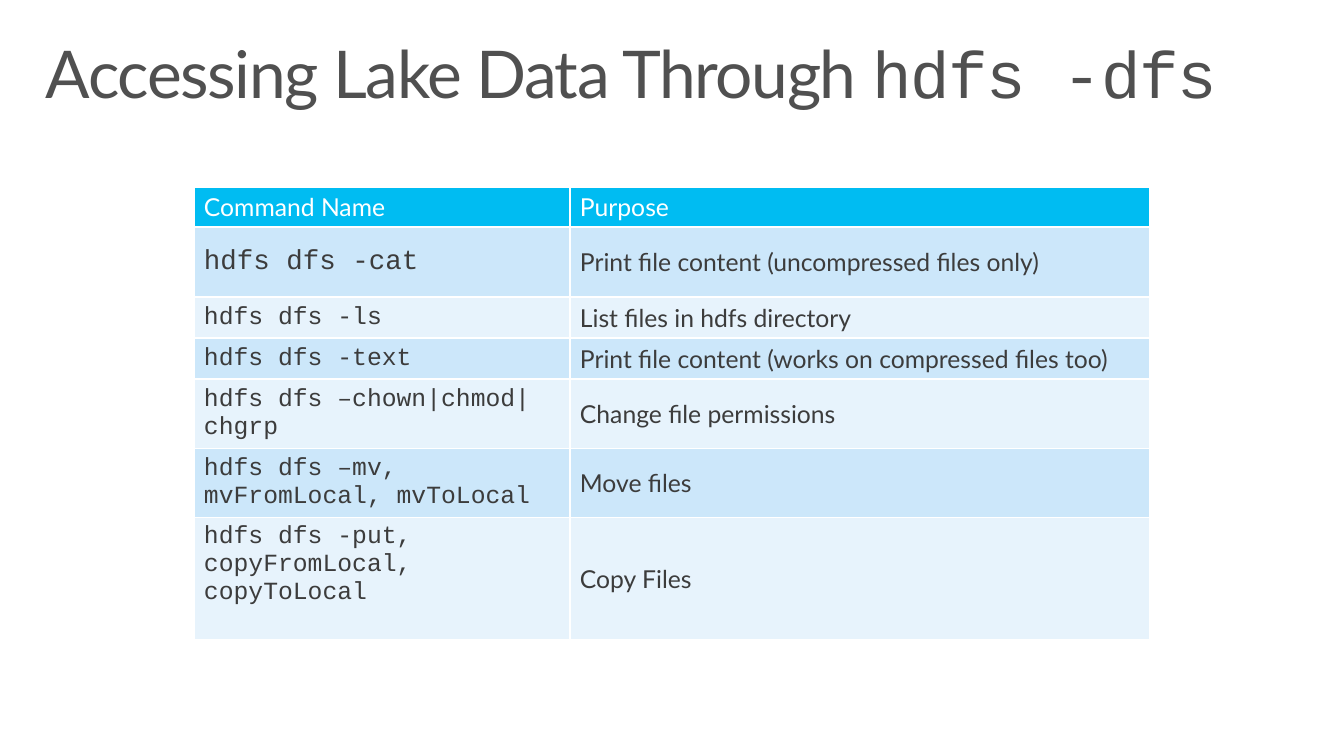
import pptx
import pptx.util
import pptx.dml.color
import pptx.enum.text
import lxml.etree

PX = 9255
MIDDLE = pptx.enum.text.MSO_ANCHOR.MIDDLE
TOP = pptx.enum.text.MSO_ANCHOR.TOP
SANS, MONO = "Lato", "Courier New"


def rgb(value):
    return pptx.dml.color.RGBColor.from_string(value)


def add_run(p, text, font, size, color):
    r = p.add_run()
    r.text = text
    r.font.name = font
    r.font.size = pptx.util.Pt(size)
    r.font.color.rgb = rgb(color)
    return r


prs = pptx.Presentation()
prs.slide_width = 1344 * PX
prs.slide_height = 756 * PX
s = prs.slides.add_slide(prs.slide_layouts[6])

title = s.shapes.add_textbox(30 * PX, 32 * PX, 1284 * PX, 99 * PX)
tf = title.text_frame
tf.word_wrap = True
tf.vertical_anchor = TOP
tf.margin_left = tf.margin_right = 16 * PX
tf.margin_top = tf.margin_bottom = 10 * PX
p = tf.paragraphs[0]
p.line_spacing = 0.9
for text, font in [("Accessing Lake Data Through ", SANS), ("hdfs -dfs", MONO)]:
    r = add_run(p, text, font, 48, "505050")
    r.font._element.set("spc", "-100")

rows = [
    (40, "Command Name", "Purpose"),
    (70, "hdfs dfs -cat", "Print file content (uncompressed files only)"),
    (41, "hdfs dfs -ls", "List files in hdfs directory"),
    (41, "hdfs dfs -text", "Print file content (works on compressed files too)"),
    (66, "hdfs dfs –chown|chmod|chgrp", "Change file permissions"),
    (66, "hdfs dfs –mv, mvFromLocal, mvToLocal", "Move files"),
    (122, "hdfs dfs -put, copyFromLocal, copyToLocal", "Copy Files"),
]
widths = [376, 580]
height = sum(row[0] for row in rows)
table = s.shapes.add_table(
    len(rows), 2, 194 * PX, 187 * PX, sum(widths) * PX, height * PX
).table
for column, width in zip(table.columns, widths):
    column.width = width * PX

for i, (row_height, *texts) in enumerate(rows):
    table.rows[i].height = row_height * PX
    for j, text in enumerate(texts):
        cell = table.cell(i, j)
        header = i == 0
        command = j == 0 and not header
        at_top = header or (command and i == len(rows) - 1)
        cell.vertical_anchor = TOP if at_top else MIDDLE
        cell.margin_left = cell.margin_right = 10 * PX
        cell.margin_top = cell.margin_bottom = 5 * PX
        r = add_run(
            cell.text_frame.paragraphs[0],
            text,
            MONO if command else SANS,
            20 if command and i == 1 else 18,
            "FFFFFF" if header else "3C3C3C",
        )
        r.font.bold = False

        tcPr = cell._tc.get_or_add_tcPr()
        for side in ("lnL", "lnR", "lnT", "lnB"):
            ln = lxml.etree.SubElement(tcPr, pptx.oxml.ns.qn("a:" + side), w="12700")
            fill = lxml.etree.SubElement(ln, pptx.oxml.ns.qn("a:solidFill"))
            lxml.etree.SubElement(fill, pptx.oxml.ns.qn("a:srgbClr"), val="FFFFFF")
        cell.fill.solid()
        cell.fill.fore_color.rgb = rgb(
            "00BCF2" if header else "CCE7FA" if i % 2 else "E7F3FC"
        )

prs.save("out.pptx")
